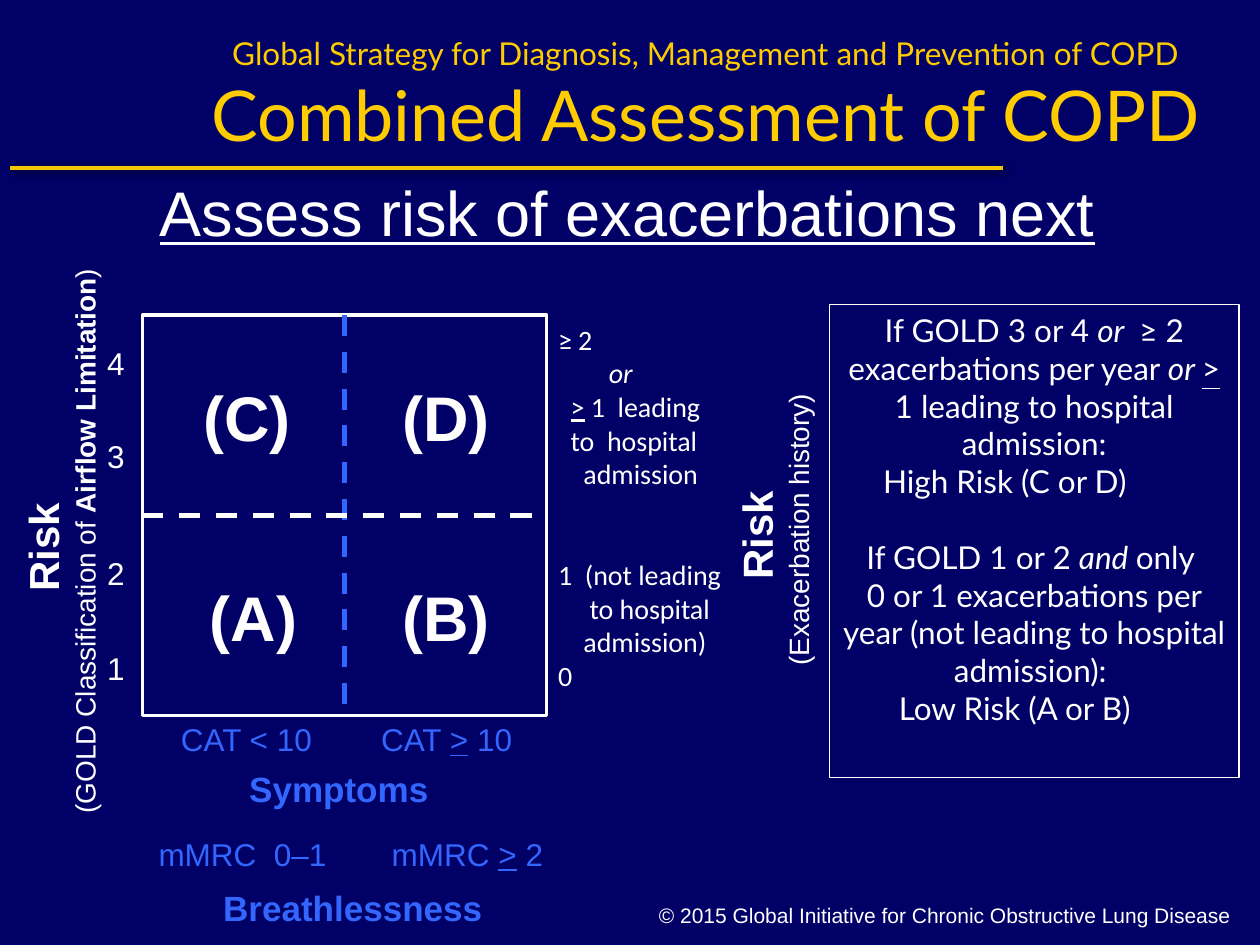
from dataclasses import dataclass

from lxml import etree
from pptx import Presentation
from pptx.dml.color import RGBColor
from pptx.enum.dml import MSO_LINE
from pptx.enum.shapes import MSO_CONNECTOR as CONN, MSO_SHAPE as SHAPE
from pptx.enum.text import MSO_ANCHOR as ANCHOR, MSO_AUTO_SIZE as AUTO, PP_ALIGN as ALIGN
from pptx.oxml.ns import qn
from pptx.util import Pt

NAVY, WHITE, BLUE, GOLD, RULE = "000066", "FFFFFF", "3366FF", "FFCC00", "F4C600"


def rgb(value):
    """Return the colour for a hex string."""
    return RGBColor.from_string(value)


def effects(shadow):
    """Return an effect list, empty or with a soft shadow."""
    lst = etree.Element(qn("a:effectLst"))
    if shadow:
        outer = etree.SubElement(lst, qn("a:outerShdw"), blurRad=str(Pt(5)),
                                 dist=str(Pt(1.4)), dir="2700000")
        black = etree.SubElement(outer, qn("a:srgbClr"), val="000000")
        etree.SubElement(black, qn("a:alpha"), val="75000")
    return lst


@dataclass
class Para:
    """A paragraph made of (text, style letters) runs."""
    runs: list
    size: float = 18
    align: ALIGN = ALIGN.CENTER
    indent: float = 0
    before: float = 0


@dataclass
class Deck:
    """Holds the current slide and its text style."""
    s: object
    font: str = "Arial"
    color: str = WHITE

    def title(self, x, y, w, h, lines, sizes):
        """Place and format the title placeholder."""
        sp = self.s.shapes.title
        sp.left, sp.top, sp.width, sp.height = Pt(x), Pt(y), Pt(w), Pt(h)
        tf = sp.text_frame
        tf.auto_size, tf.vertical_anchor = AUTO.NONE, ANCHOR.MIDDLE
        p = tf.paragraphs[0]
        p.text = "\v".join(lines)
        p.alignment = ALIGN.CENTER
        for r, size in zip(p.runs, sizes):
            r.font.size, r.font.name = Pt(size), "Lato"
            r.font.color.rgb = rgb(GOLD)
            r.font.fill._xPr.find(qn("a:solidFill")).addnext(effects(True))
        br = p._p.find(qn("a:br"))
        etree.SubElement(br, qn("a:rPr"), sz=str(sizes[0] * 100))

    def fill_text(self, tf, paras, font, color):
        """Write paragraphs into a text frame."""
        for i, para in enumerate(paras):
            p = tf.add_paragraph() if i else tf.paragraphs[0]
            p.alignment = para.align
            if para.indent:
                p._p.get_or_add_pPr().set("marL", str(Pt(para.indent)))
            if para.before:
                p.space_before = Pt(para.before)
            for text, style in para.runs:
                r = p.add_run()
                r.text = text
                f = r.font
                f.size, f.name, f.color.rgb = Pt(para.size), font or self.font, rgb(color or self.color)
                f.bold, f.italic, f.underline = "b" in style, "i" in style, "u" in style

    def text(self, x, y, w, h, paras, font=None, color=None, wrap=False, rotation=0):
        """Add a text box."""
        sp = self.s.shapes.add_textbox(Pt(x), Pt(y), Pt(w), Pt(h))
        sp.rotation = rotation
        sp.text_frame.word_wrap = wrap
        self.fill_text(sp.text_frame, paras, font, color)

    def label(self, x, y, w, h, text, size=18, style="", color=None):
        """Add a centred label of one run."""
        self.text(x, y, w, h, [Para([(text, style)], size)], color=color)

    def box(self, x, y, w, h, weight, paras=(), font=None):
        """Add an outlined rectangle, with text if given."""
        sp = self.s.shapes.add_shape(SHAPE.RECTANGLE, Pt(x), Pt(y), Pt(w), Pt(h))
        sp.shadow.inherit = False
        sp.fill.background()
        sp.line.color.rgb, sp.line.width = rgb(WHITE), Pt(weight)
        tf = sp.text_frame
        tf.word_wrap, tf.vertical_anchor = True, ANCHOR.TOP
        self.fill_text(tf, paras, font, None)

    def line(self, x1, y1, x2, y2, color, weight, dashed=False, shadow=False):
        """Add a straight line."""
        c = self.s.shapes.add_connector(CONN.STRAIGHT, Pt(x1), Pt(y1), Pt(x2), Pt(y2))
        c.line.color.rgb, c.line.width = rgb(color), Pt(weight)
        if dashed:
            c.line.dash_style = MSO_LINE.DASH
        c._element.spPr.append(effects(shadow))


def main():
    """Build the slide and save it."""
    prs = Presentation()
    prs.slide_width, prs.slide_height = Pt(720), Pt(540)
    s = prs.slides.add_slide(prs.slide_layouts[5])
    s.background.fill.solid()
    s.background.fill.fore_color.rgb = rgb(NAVY)
    d = Deck(s)

    d.title(104.4, 18, 597.6, 72,
            ["Global Strategy for Diagnosis, Management and Prevention of COPD",
             "Combined Assessment of COPD"], [18, 40])
    d.line(5.8, 95.8, 573, 95.8, RULE, 2.25, shadow=True)
    d.label(72, 95.8, 573, 51, "Assess risk of exacerbations next", 36, "u")

    risk = Para([("Risk ", "b")], 24)
    gold = Para([("(GOLD Classification of ", ""), ("Airflow Limitation", "b"), (")", "")], 16)
    history = Para([("(Exacerbation history)", "")], 16)
    d.text(-131, 281.5, 330, 55.4, [risk, gold], rotation=270)
    d.text(355, 275, 173.5, 55.4, [risk, history], wrap=True, rotation=270)

    x, y, w, h = 81.4, 180, 231, 229
    d.box(x, y, w, h, 2)
    d.line(x + w / 2, y, x + w / 2, y + h, BLUE, 3, dashed=True)
    d.line(x, y + h / 2, x + w, y + h / 2, WHITE, 3, dashed=True)
    for name, left, top in [("(C)", 108.7, 213), ("(D)", 222.5, 213),
                            ("(A)", 112.5, 327), ("(B)", 222.5, 327)]:
        d.label(left, top, 64.8, 51, name, 36, "b")
    for grade, top in [("4", 193), ("3", 246.2), ("2", 313.2), ("1", 367.2)]:
        d.label(54, top, 24.5, 28.8, grade)

    d.label(95.8, 408.2, 90, 28.8, "CAT < 10 ", color=BLUE)
    d.text(210.2, 408.2, 90, 28.8, [Para([("CAT ", ""), (">", "u"), (" 10 ", "")])], color=BLUE)
    d.label(134.6, 435, 118, 48, "Symptoms", 20, "b", BLUE)
    d.label(82.8, 473.8, 111.6, 28.8, "mMRC  0–1", color=BLUE)
    d.text(216, 473.8, 102.2, 28.8, [Para([("mMRC ", ""), (">", "u"), (" 2", "")])], color=BLUE)
    d.label(119.5, 503.3, 164.2, 31.7, "Breathlessness", 20, "b", BLUE)

    exacerbations = [
        ([("≥ 2", "")], 0, 0),
        ([("or", "i")], 29, 0),
        ([(">", "u"), (" 1  leading", "")], 7.2, 0),
        ([("to  hospital", "")], 7.2, 0),
        ([("admission", "")], 14.5, 0),
        ([("1  (not leading", "")], 0, 38.5),
        ([("to hospital", "")], 18, 0),
        ([("admission)", "")], 14.5, 0),
        ([("0", "")], 0, 0),
    ]
    d.text(311.8, 180.7, 113.8, 219,
           [Para(runs, 16, ALIGN.LEFT, indent, before) for runs, indent, before in exacerbations],
           font="Calibri", wrap=True)

    d.box(474, 174.2, 234, 270, 0.75, [
        Para([("If GOLD 3 or 4 ", ""), ("or ", "i"), (" ≥ 2 exacerbations per year ", ""),
              ("or ", "i"), (">", "u"), (" 1 leading to hospital admission:", "")]),
        Para([("High Risk (C or D)", "")], align=ALIGN.LEFT, indent=23.5),
        Para([("If GOLD 1 or 2 ", ""), ("and ", "i"), ("only ", "")], before=21.6),
        Para([("0 or 1 exacerbations per year (not leading to hospital admission): ", "")]),
        Para([("Low Risk (A or B)", "")], align=ALIGN.LEFT, indent=32.5),
    ], font="Lato")
    d.label(300, 512, 480, 21.6,
            "© 2015 Global Initiative for Chronic Obstructive Lung Disease", 12)
    prs.save("out.pptx")


if __name__ == "__main__":
    main()
